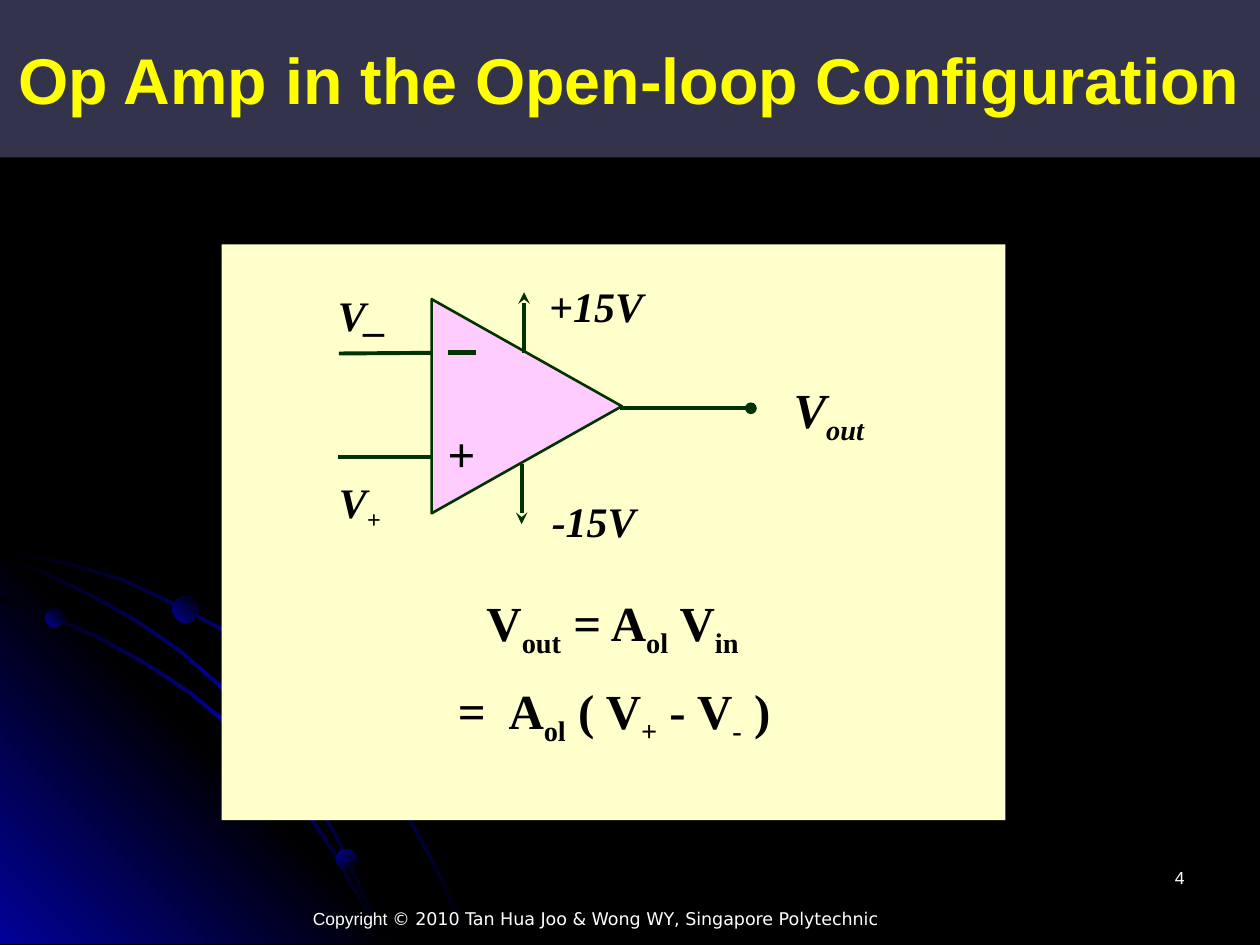
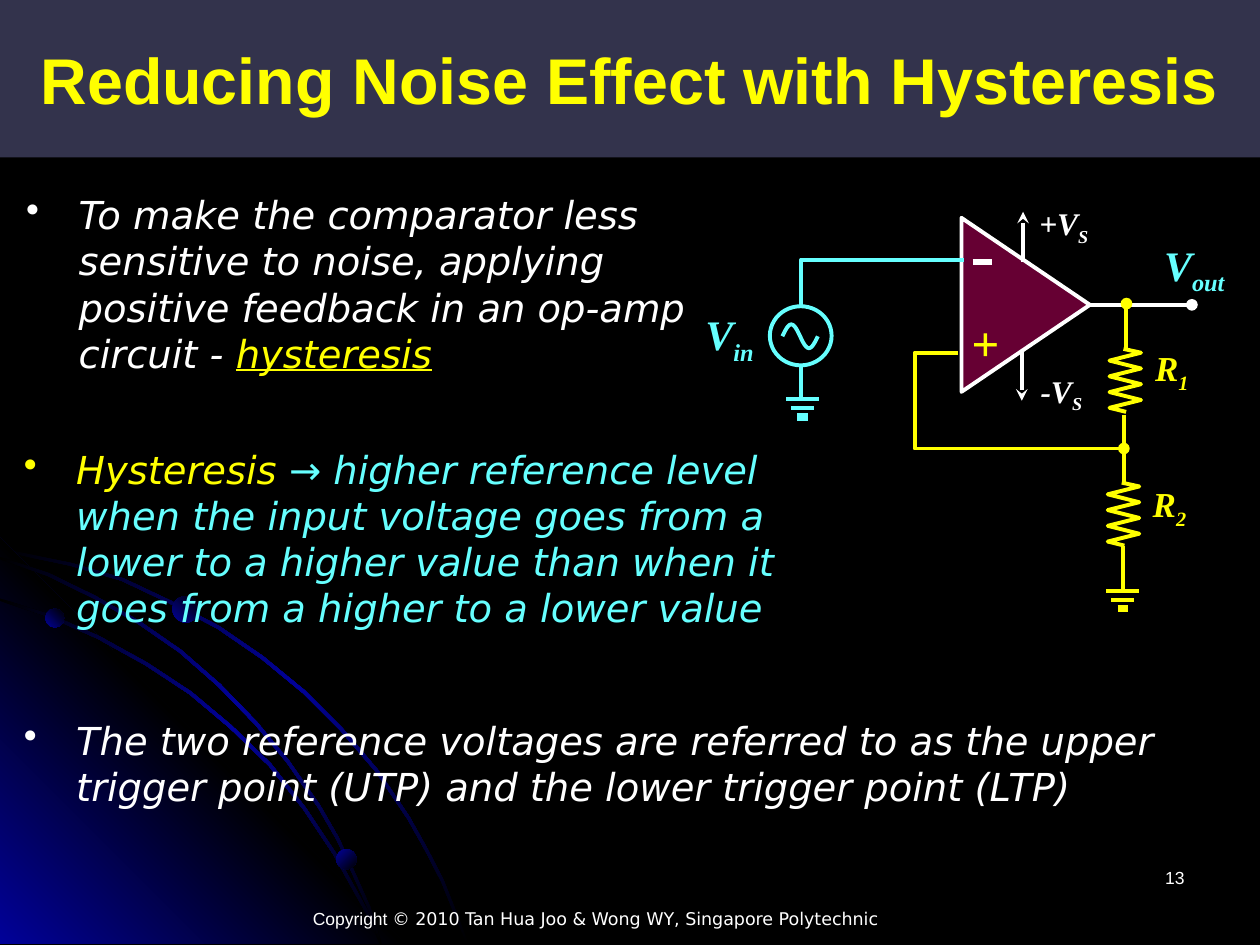
from copy import deepcopy
from math import pi, sin

from lxml.etree import SubElement
from pptx import Presentation
from pptx.dml.color import RGBColor
from pptx.enum.shapes import MSO_CONNECTOR, MSO_SHAPE
from pptx.enum.text import MSO_ANCHOR, PP_ALIGN
from pptx.oxml.ns import qn
from pptx.util import Pt

LEFT, CENTER, RIGHT = PP_ALIGN.LEFT, PP_ALIGN.CENTER, PP_ALIGN.RIGHT
TOP, MIDDLE = MSO_ANCHOR.TOP, MSO_ANCHOR.MIDDLE
STRAIGHT = MSO_CONNECTOR.STRAIGHT
OVAL, TRIANGLE, RECTANGLE = MSO_SHAPE.OVAL, MSO_SHAPE.ISOSCELES_TRIANGLE, MSO_SHAPE.RECTANGLE

COLORS = {name: RGBColor.from_string(value) for name, value in {
    "black": "000000", "white": "FFFFFF", "yellow": "FFFF00", "cyan": "66FFFF",
    "band": "33334C", "glow": "010199", "panel": "FFFFCC", "ink": "003300",
    "pink": "FFCCFF", "maroon": "660033",
}.items()}
SANS, SERIF, BODY = "Arial", "Times New Roman", "DejaVu Sans"
SUB = {"sub": True}


def add_text(page, place, paragraphs, size=24, font=SERIF, color="black", bold=False,
             italic=False, align=LEFT, anchor=TOP, fill=None, bullet=None,
             hangs=None, line_spacing=None, space_before=0):
    """Each paragraph is a list of (text, format) spans; hangs gives (margin, indent)."""
    box = page.shapes.add_textbox(*map(Pt, place))
    if fill:
        box.fill.solid()
        box.fill.fore_color.rgb = COLORS[fill]
    frame = box.text_frame
    frame.word_wrap = True
    frame.vertical_anchor = anchor
    for index, spans in enumerate(paragraphs):
        para = frame.paragraphs[0] if index == 0 else frame.add_paragraph()
        para.alignment = align if index == 0 else LEFT
        if hangs:
            margin, indent = hangs[index]
            para._p.get_or_add_pPr().set("marL", str(Pt(margin)))
            para._p.pPr.set("indent", str(Pt(indent)))
        if bullet:
            SubElement(para._p.get_or_add_pPr(), qn("a:buChar")).set("char", bullet)
        if line_spacing:
            para.line_spacing = line_spacing
        if index:
            para.space_before = Pt(space_before)
        for text, changes in spans:
            span = para.add_run()
            span.text = text
            span.font.size = Pt(size)
            span.font.name = changes.get("font", font)
            span.font.bold, span.font.italic = bold, italic
            span.font.color.rgb = COLORS[changes.get("color", color)]
            if changes.get("underline"):
                span.font.underline = True
            if changes.get("sub"):
                span.font._element.set("baseline", "-25000")


def add_wire(page, points, color, width=2.25, tail=None):
    """Draw a line through the points, with an optional end mark."""
    points = [(Pt(x), Pt(y)) for x, y in points]
    if len(points) == 2:
        wire = page.shapes.add_connector(STRAIGHT, *points[0], *points[1])
    else:
        builder = page.shapes.build_freeform(*points[0])
        builder.add_line_segments(points[1:], close=False)
        wire = builder.convert_to_shape()
        wire.fill.background()
    wire.line.color.rgb = COLORS[color]
    wire.line.width = Pt(width)
    properties = wire._element.spPr
    if tail:
        SubElement(properties.find(qn("a:ln")), qn("a:tailEnd")).set("type", tail)
    SubElement(properties, qn("a:effectLst"))


deck = Presentation()
deck.slide_width, deck.slide_height = Pt(720), Pt(540)
background = deck.slide_master.background.fill
background.solid()
background.fore_color.rgb = COLORS["black"]

# Upper edges of the three orbits in the lower left corner
outer_orbit = [(0, 313.2), (20.2, 317.5), (41, 321.8), (70.6, 330.5), (97.9, 343.4),
               (125.3, 357.8), (150.5, 375.1), (174.2, 394.6), (195.8, 416.2),
               (216, 439.9), (234, 466.6), (244.1, 484.6), (253.4, 502.6),
               (260.6, 520.6), (267.8, 539.3)]
inner_orbit = [(0, 342), (29.5, 351.4), (56.9, 363.6), (84.2, 378.7), (109.4, 395.3),
               (132.5, 414.7), (154.8, 436.3), (174.2, 460.8), (191.5, 486.7),
               (205.9, 512.6), (213.1, 525.6), (218.2, 539.3)]
middle_orbit = [(0, 318.2), (28.1, 327.6), (54.7, 340.6), (79.9, 355), (103.7, 371.5),
                (126, 391), (146.9, 412.6), (164.9, 434.2), (182.9, 460.1),
                (193.7, 478.8), (203, 499), (211.7, 518.4), (218.2, 539.3)]
outer_band, inner_band, middle_band = [
    orbit + [(max(0, x - 1.2), min(y + 1.4, 539.3)) for x, y in reversed(orbit)]
    for orbit in (outer_orbit, inner_orbit, middle_orbit)]
corner = [(231.8, 539.3), (0, 539.3), (0, 307.4)]
# Outline, end colour, middle colour, counter-clockwise angle
glows = [(outer_band, "black", "glow", 315), (corner, "glow", "black", 45),
         (inner_band, "black", "glow", 315), (middle_band, "black", "glow", 315)]
# Left, top, diameter, angle
planets = [(25.9, 347.8, 10.8, 45), (192.2, 485.3, 11.5, 315), (98.6, 340.6, 15.1, 45)]

# Parts that both slides share
pages = []
for title, number in [("Op Amp in the Open-loop Configuration", "4"),
                      ("Reducing Noise Effect with Hysteresis", "13")]:
    page = deck.slides.add_slide(deck.slide_layouts[6])
    pages.append(page)
    shaded = []
    for outline, ends, middle, angle in glows:
        start, *rest = [(Pt(x), Pt(y)) for x, y in outline]
        builder = page.shapes.build_freeform(*start)
        builder.add_line_segments(rest, close=True)
        shaded.append((builder.convert_to_shape(), ends, middle, angle, True))
    for left, top, diameter, angle in planets:
        planet = page.shapes.add_shape(OVAL, Pt(left), Pt(top), Pt(diameter), Pt(diameter))
        shaded.append((planet, "glow", "black", angle, False))
    for shape, first, second, angle, mirrored in shaded:
        shape.shadow.inherit = False
        shape.line.fill.background()
        shape.fill.gradient()
        shape.fill.gradient_angle = angle
        stops = shape.fill.gradient_stops
        for stop, color, position in zip(stops, (first, second), (0, 0.5 if mirrored else 1)):
            stop.color.rgb = COLORS[color]
            stop.position = position
        if mirrored:
            stop_list = shape._element.spPr.find(".//" + qn("a:gsLst"))
            last_stop = deepcopy(stop_list[0])
            last_stop.set("pos", "100000")
            stop_list.append(last_stop)

    add_text(page, (0, 0, 720, 90), [[(title, {})]], size=36.9, font=SANS, color="yellow",
             bold=True, align=CENTER, anchor=MIDDLE, fill="band")
    add_text(page, (124.6, 515.5, 431.3, 24),
             [[("Copyright ", {"font": SANS}),
               ("© 2010 Tan Hua Joo & Wong WY, Singapore Polytechnic", {})]],
             size=10, font=BODY, color="white", align=CENTER)
    add_text(page, (516.2, 491.8, 167.8, 36), [[(number, {})]], size=10, font=SANS,
             color="white", align=RIGHT)
open_loop, hysteresis = pages

# Panel behind the open-loop circuit
panel = open_loop.shapes.add_shape(RECTANGLE, Pt(126.7), Pt(139.7), Pt(447.8), Pt(329))
panel.shadow.inherit = False
panel.fill.solid()
panel.fill.fore_color.rgb = COLORS["panel"]
panel.line.fill.background()

# Output wire lies under the amplifier on the open-loop slide
add_wire(open_loop, [(354.2, 233.3), (429.1, 233.3)], "ink", tail="oval")

# Amplifier bodies, pointing right
for page, place, fill, edge, width in [
        (open_loop, (239.8, 177.8, 122.4, 108.7), "pink", "ink", 1.5),
        (hysteresis, (536.4, 137.5, 99.4, 73.4), "maroon", "white", 2.25)]:
    amplifier = page.shapes.add_shape(TRIANGLE, *map(Pt, place))
    amplifier.rotation = 90
    amplifier.shadow.inherit = False
    amplifier.fill.solid()
    amplifier.fill.fore_color.rgb = COLORS[fill]
    amplifier.line.color.rgb = COLORS[edge]
    amplifier.line.width = Pt(width)

# Open-loop circuit: minus sign, supplies, inputs
add_wire(open_loop, [(256.3, 201.6), (272.2, 201.6)], "ink", width=3)
for points in [[(299.5, 201.6), (299.5, 167)], [(298.1, 265), (298.1, 299.5)]]:
    add_wire(open_loop, points, "ink", tail="stealth")
for points in [[(247, 201.6), (193.7, 202)], [(246.2, 261.4), (193, 261.4)]]:
    add_wire(open_loop, points, "ink")

# Open-loop circuit: labels
for place, spans, size, align in [
        ((248.4, 238.3, 30.2, 41), [("+", {})], 28, LEFT),
        ((308.2, 279.4, 70.6, 36), [("-15V", {})], 24, LEFT),
        ((306.7, 157, 80.6, 36), [("+15V", {})], 24, LEFT),
        ((446.4, 213.1, 75.6, 41), [("V", {}), ("out", SUB)], 28, LEFT),
        ((185.8, 162, 42.5, 36), [("V_", {})], 24, CENTER),
        ((185.8, 268.6, 39.6, 36), [("V", {}), ("+", SUB)], 24, CENTER)]:
    add_text(open_loop, place, [spans], size=size, bold=True, italic=True, align=align)

# Gain formula, the second line hanging on its equals sign
add_text(open_loop, (155.5, 335.5, 393.1, 100),
         [[("V", {}), ("out", SUB), (" = A", {}), ("ol", SUB), (" V", {}), ("in ", SUB)],
          [("=\tA", {}), ("ol", SUB), (" ( V", {}), ("+", SUB), (" - V", {}),
           ("-", SUB), (" )", {})]],
         size=28, bold=True, align=CENTER, hangs=[(0, 0), (128, -29)],
         line_spacing=0.9, space_before=16)

# Hysteresis circuit: minus sign, output, supplies
add_wire(hysteresis, [(555.8, 149.8), (566.6, 149.8)], "white", width=3)
add_wire(hysteresis, [(621.4, 174.2), (681.1, 174.2)], "white", tail="oval")
for points in [[(584.6, 149.8), (584.6, 121)], [(583.9, 200.2), (583.9, 229)]]:
    add_wire(hysteresis, points, "white", tail="stealth")

# Signal source with its sine wave
add_wire(hysteresis, [(550.8, 148.3), (457.9, 148.3), (457.9, 176.4)], "cyan")
source = hysteresis.shapes.add_shape(OVAL, Pt(439.9), Pt(175), Pt(35.3), Pt(33.8))
source.shadow.inherit = False
source.fill.solid()
source.fill.fore_color.rgb = COLORS["black"]
source.line.color.rgb = COLORS["cyan"]
source.line.width = Pt(2.25)
add_wire(hysteresis, [(447.1 + 20.2 * step / 24, 192.2 - 6.8 * sin(2 * pi * step / 24))
                      for step in range(25)], "cyan")
add_wire(hysteresis, [(457.9, 209.5), (457.9, 229)], "cyan")

# Resistors: eight alternating teeth between two leads
for middle, top in [(643, 199.4), (642, 275.8)]:
    teeth = [(middle + (9 if tooth % 2 == 0 else -9), top + 2.2 + 4.5 * tooth)
             for tooth in range(8)]
    add_wire(hysteresis, [(middle - 1, top), *teeth, (middle + 0.5, top + 36)], "yellow")

# Divider and feedback wires
add_wire(hysteresis, [(643.7, 198.7), (643.7, 173.5)], "yellow", tail="oval")
add_wire(hysteresis, [(642.2, 236.9), (642.2, 275.8)], "yellow")
add_wire(hysteresis, [(641.5, 311.8), (641.5, 338.4)], "yellow")
add_wire(hysteresis, [(547.2, 201.6), (522.7, 201.6), (522.7, 256.3), (642.2, 256.3)],
         "yellow", tail="oval")

# Ground symbols
for middle, top, color in [(458.6, 228.2, "cyan"), (641.5, 337.7, "yellow")]:
    for drop, length, width in [(0, 18.7, 2.25), (4.9, 13, 2.25), (10, 5.8, 4.5)]:
        add_wire(hysteresis, [(middle - length / 2, top + drop),
                              (middle + length / 2, top + drop)], color, width=width)

# Hysteresis circuit: labels
for place, spans, size, color in [
        ((547.9, 175, 30.2, 41), [("+", {})], 28, "yellow"),
        ((396, 172.8, 43.9, 36), [("V", {}), ("in", SUB)], 24, "cyan"),
        ((587.5, 208.8, 51.1, 29), [("-V", {}), ("S", SUB)], 18, "white"),
        ((586.8, 113, 51.1, 29), [("+V", {}), ("S", SUB)], 18, "white"),
        ((658.1, 133.2, 61.9, 36), [("V", {}), ("out", SUB)], 24, "cyan"),
        ((653, 194.4, 45.4, 31), [("R", {}), ("1", SUB)], 20, "yellow"),
        ((651.6, 272.2, 45.4, 31), [("R", {}), ("2", SUB)], 20, "yellow")]:
    add_text(hysteresis, place, [spans], size=size, color=color, bold=True, italic=True)

# Explanation
for place, spans in [
        ((7.9, 105.8, 425.5, 113),
         [("To make the comparator less sensitive to noise, applying positive feedback "
           "in an op-amp circuit - ", {}),
          ("hysteresis", {"color": "yellow", "underline": True})]),
        ((6.5, 251.3, 483.8, 113),
         [("Hysteresis ", {"color": "yellow"}),
          ("→ higher reference level when the input voltage goes from a lower to a higher "
           "value than when it goes from a higher to a lower value", {"color": "cyan"})]),
        ((6.5, 406.1, 663.1, 60),
         [("The two reference voltages are referred to as the upper trigger point (UTP) "
           "and the lower trigger point (LTP)", {})])]:
    add_text(hysteresis, place, [spans], size=22, font=BODY, color="white", italic=True,
             bullet="•", hangs=[(30, -30)])

deck.save("out.pptx")
